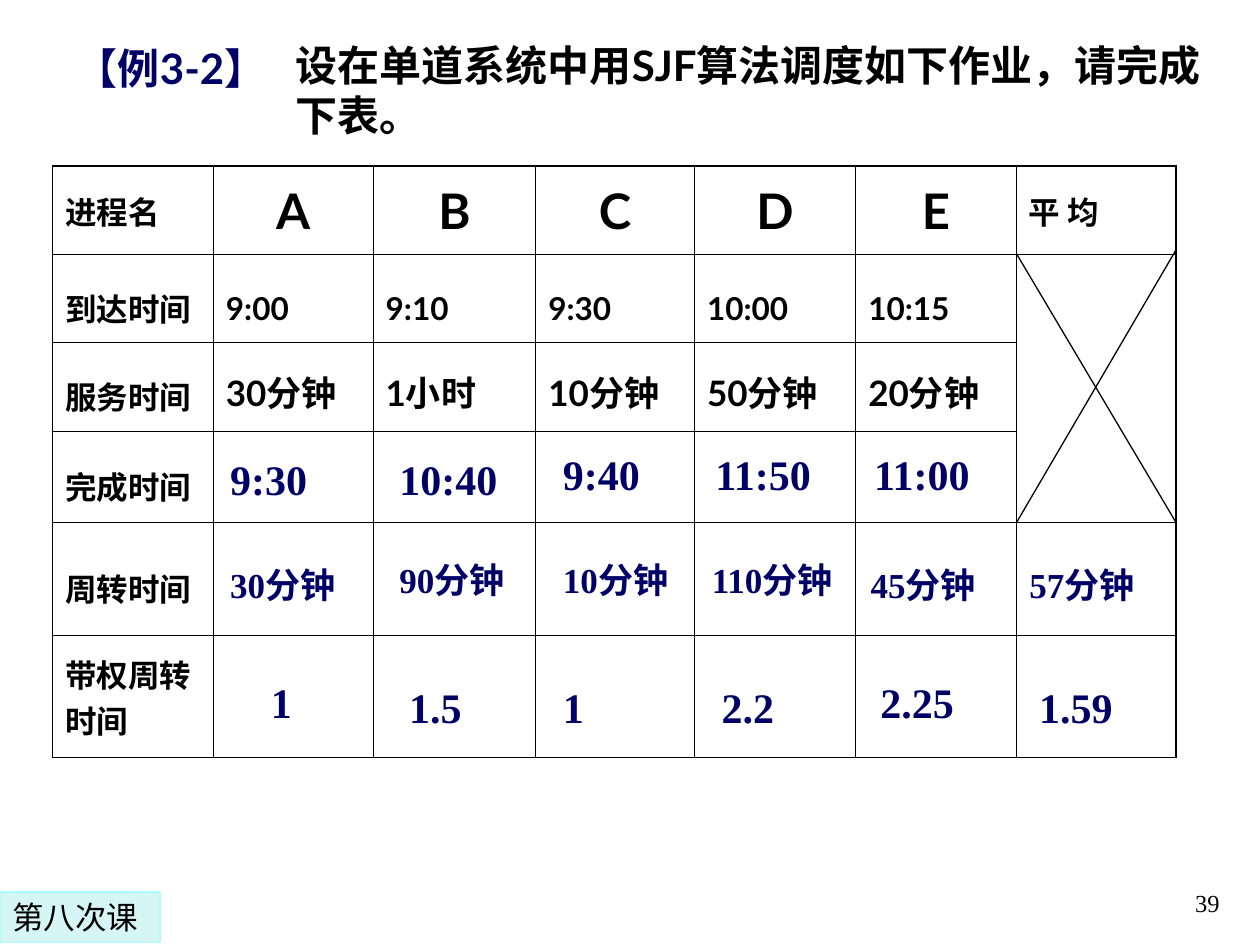
from itertools import groupby

from lxml.etree import SubElement
from pptx import Presentation
from pptx.dml.color import RGBColor
from pptx.enum.shapes import MSO_SHAPE as Form
from pptx.enum.text import MSO_ANCHOR as Anchor, MSO_AUTO_SIZE as Fit, PP_ALIGN as Align
from pptx.oxml.ns import qn
from pptx.util import Cm, Pt

HAN = "Noto Sans CJK SC"
LATIN = "Lato"
TIMES = "Times New Roman"


def color(code):
    return RGBColor.from_string(code)


def write(frame, text, size=18, font=None, ink="000000", bold=True, align=Align.LEFT):
    para = frame.paragraphs[0]
    para.alignment = align
    if font:
        parts = [(font, text)]
    else:
        parts = [(HAN if han else LATIN, "".join(group))
                 for han, group in groupby(text, lambda sign: sign > "⺀")]
    for face, words in parts:
        run = para.add_run()
        run.text = words
        run.font.size = Pt(size)
        run.font.bold = bold
        run.font.name = face
        run.font.color.rgb = color(ink)
        east = HAN if face in (TIMES, LATIN) else face
        SubElement(run.font._element, qn("a:ea"), typeface=east)


class Page:
    ink = "000000"
    navy = "000066"
    thin = 0.45
    thick = 1.08

    def __init__(self, deck):
        self.slide = deck.slides.add_slide(deck.slide_layouts[5])
        self.shapes = self.slide.shapes

    def title(self, text, x, y, w, h):
        box = self.shapes.title
        box.left, box.top, box.width, box.height = Cm(x), Cm(y), Cm(w), Cm(h)
        box.fill.solid()
        box.fill.fore_color.rgb = color("FFFFFF")
        frame = box.text_frame
        frame.auto_size = Fit.SHAPE_TO_FIT_TEXT
        frame.vertical_anchor = Anchor.TOP
        write(frame, text, size=24)

    def text(self, text, x, y, w, h, anchor=Anchor.TOP, fit=Fit.SHAPE_TO_FIT_TEXT, **style):
        box = self.shapes.add_textbox(Cm(x), Cm(y), Cm(w), Cm(h))
        frame = box.text_frame
        frame.word_wrap = True
        frame.auto_size = fit
        frame.vertical_anchor = anchor
        write(frame, text, **style)

    def tag(self, text, x, y, w, h, fill, edge, **style):
        box = self.shapes.add_shape(Form.RECTANGLE, Cm(x), Cm(y), Cm(w), Cm(h))
        box.shadow.inherit = False
        box.fill.solid()
        box.fill.fore_color.rgb = color(fill)
        box.line.color.rgb = color(edge)
        box.line.width = Pt(0.75)
        box.text_frame.vertical_anchor = Anchor.TOP
        write(box.text_frame, text, **style)

    def line(self, x, y, to_x, to_y):
        link = self.shapes.add_connector(1, Cm(x), Cm(y), Cm(to_x), Cm(to_y))
        link.line.color.rgb = color(self.ink)
        link.line.width = Pt(0.75)
        SubElement(link._element.spPr, qn("a:effectLst"))

    def border(self, cell, side, width):
        props = cell._tc.get_or_add_tcPr()
        edge = SubElement(props, qn("a:ln" + side), w=str(Pt(width)))
        fill = SubElement(edge, qn("a:solidFill"))
        SubElement(fill, qn("a:srgbClr"), val=self.ink)

    def table(self, rows, x, y, wide, high):
        grid = self.shapes.add_table(len(high), len(wide), Cm(x), Cm(y),
                                     Cm(sum(wide)), Cm(sum(high))).table
        grid.first_row = grid.horz_banding = False
        for col, size in zip(grid.columns, wide):
            col.width = Cm(size)
        for row, size in zip(grid.rows, high):
            row.height = Cm(size)
        last = len(wide) - 1
        grid.cell(1, last).merge(grid.cell(3, last))
        bold_rules = {0, len(high) - 1, len(high)}
        for r, row in enumerate(rows):
            for c in range(len(wide)):
                cell = grid.cell(r, c)
                heavy = {"L": c == 0, "R": c == last,
                         "T": r in bold_rules, "B": r + 1 in bold_rules}
                for side in "LR" if cell.is_spanned else "LRTB":
                    self.border(cell, side, self.thick if heavy[side] else self.thin)
                cell.fill.background()
                cell.vertical_anchor = Anchor.MIDDLE
                if c < len(row):
                    self.fill(cell, row[c], r, c, last)

    def fill(self, cell, text, r, c, last):
        head = r == 0 and 0 < c < last
        size = 28 if head else 20 if r == 2 and c else 18
        if r == 1 or (c == 0 and r in (2, 3, 4)):
            cell.margin_top = Cm(0.5)
        elif r == 2:
            cell.margin_top = Cm(0.3)
        write(cell.text_frame, text, size=size,
              align=Align.CENTER if head else Align.LEFT)

    def answers(self, items, size, w, h):
        for text, x, y in items:
            self.text(text, x, y, w, h, size=size, font=TIMES, ink=self.navy)


def main():
    deck = Presentation()
    deck.slide_width, deck.slide_height = Cm(25.4), Cm(19.05)
    page = Page(deck)
    page.text("39", 19.56, 17.35, 5.28, 1.27, anchor=Anchor.BOTTOM, fit=Fit.NONE,
              size=14, font=TIMES, bold=False, align=Align.RIGHT)
    page.text("【例3-2】", 1.19, 0.74, 4.52, 2.29, size=24,
              ink=page.navy, align=Align.CENTER)
    page.title("设在单道系统中用SJF算法调度如下作业，请完成下表。", 5.71, 0.66, 18.85, 2.29)
    rows = [
        ["进程名", "A", "B", "C", "D", "E", "平 均"],
        ["到达时间", "9:00", "9:10", "9:30", "10:00", "10:15"],
        ["服务时间", "30分钟", "1小时", "10分钟", "50分钟", "20分钟"],
        ["完成时间"],
        ["周转时间"],
        ["带权周转时间"],
    ]
    page.table(rows, 1.06, 3.35, [3.24, 3.22, 3.28, 3.2, 3.25, 3.23, 3.23],
               [1.78, 1.78, 1.78, 1.83, 2.29, 2.46])
    page.line(23.7, 5.05, 20.5, 10.52)
    page.line(20.5, 5.13, 23.7, 10.52)
    page.answers([("9:30", 4.39, 9.02), ("10:40", 7.8, 9.02), ("9:40", 11.1, 8.92),
                  ("11:50", 14.17, 8.92), ("11:00", 17.37, 8.92)], 24, 2.6, 1.27)
    page.answers([("30分钟", 4.39, 11.23), ("90分钟", 7.8, 11.13), ("10分钟", 11.1, 11.13),
                  ("110分钟", 14.1, 11.13), ("45分钟", 17.3, 11.23),
                  ("57分钟", 20.5, 11.23)], 20, 3.2, 1.12)
    page.answers([("1", 5.21, 13.51), ("1.5", 8, 13.61), ("1", 11.1, 13.61),
                  ("2.2", 14.3, 13.61), ("2.25", 17.5, 13.51),
                  ("1.59", 20.7, 13.61)], 24, 2.11, 1.27)
    page.tag("第八次课", 0, 17.98, 3.23, 1.02, "D6F5F5", "ADFFFF",
             font="DejaVu Sans", bold=False)
    deck.save("out.pptx")


if __name__ == "__main__":
    main()
